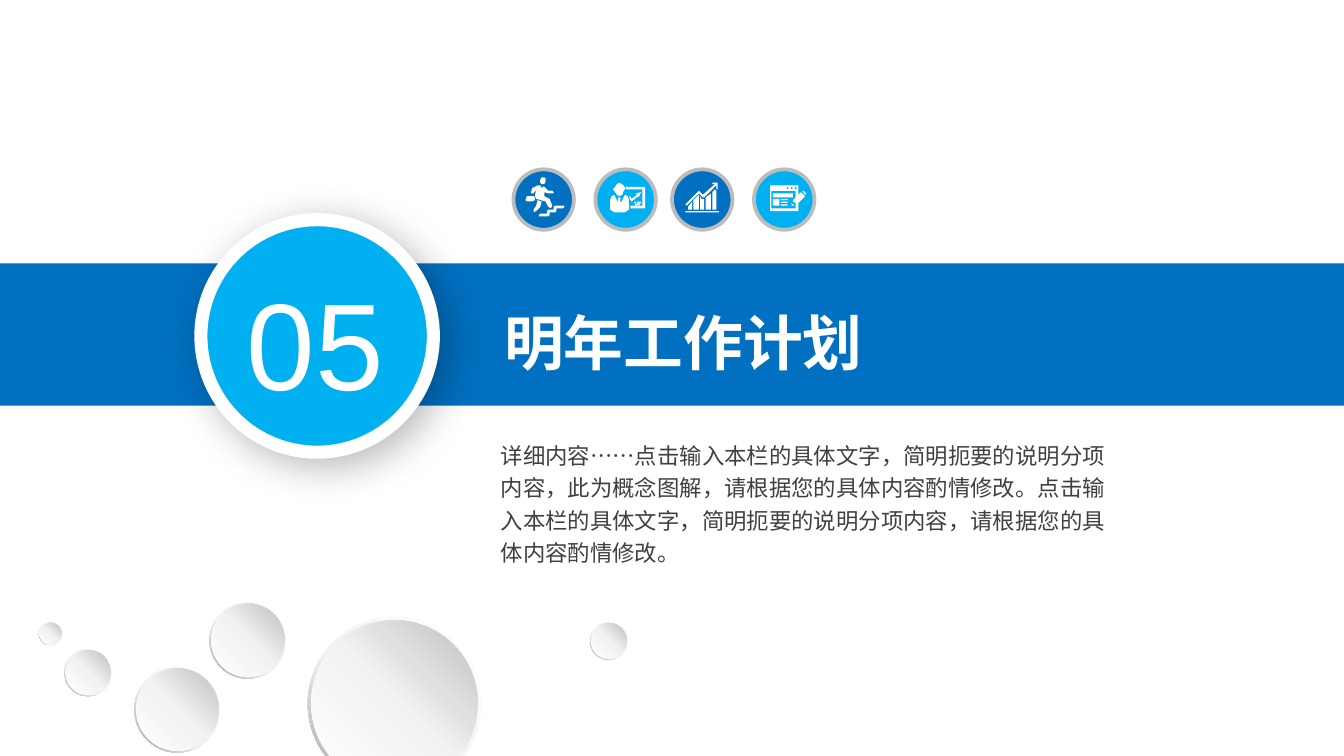
from copy import deepcopy

from lxml import etree
from pptx import Presentation
from pptx import util as u
from pptx.dml.color import RGBColor
from pptx.enum import shapes, text
from pptx.oxml import ns

COLUMNS, ROWS = 100, 56.25
CELL = u.Inches(0.1)
BADGE = 4.5
BADGE_UNITS = 45

WHITE = RGBColor(0xFF, 0xFF, 0xFF)
BLUE = RGBColor(0x01, 0x70, 0xC0)
SKY = RGBColor(0x01, 0xB0, 0xF1)
INK = RGBColor(0x40, 0x40, 0x40)
RING = RGBColor(0xBC, 0xBC, 0xBE)
PALE = RGBColor(0xF2, 0xF2, 0xF2)
SILVER = RGBColor(0xBF, 0xBF, 0xBF)
GREY = RGBColor(0xA6, 0xA6, 0xA6)

RIM_STOPS = [(0, WHITE), (0.55, PALE), (1, GREY)]
FACE_STOPS = [(0, WHITE), (0.51, PALE), (1, SILVER)]

RUNNER = [
    [[(20, 33), (25, 33), (25, 31), (26, 30), (30, 30), (30, 28), (31, 27), (38, 27), (38, 28),
      (37, 29), (32, 29), (32, 31), (31, 32), (27, 32), (27, 34), (26, 35), (19, 35), (19, 34)]],
    [[(10, 24), (14, 24), (16, 23), (16, 21), (15, 20), (10, 20), (9, 23)],
     [(15, 30), (17, 27), (18, 23), (21, 24), (20, 28), (17, 31), (15, 32)],
     [(23, 6), (24, 7), (24, 9), (23, 11), (21, 11), (20, 10), (20, 8), (21, 6)],
     [(22, 13), (23, 13), (26, 16), (29, 16), (30, 17), (30, 18), (26, 18), (23, 17),
      (23, 20), (27, 22), (29, 27), (28, 29), (26, 28), (24, 24), (17, 22), (16, 20),
      (17, 15), (15, 18), (13, 18), (14, 14), (18, 12), (20, 12), (21, 14)]],
]
PRESENTER = [
    [[(22, 13), (23, 15), (35, 15), (35, 27), (26, 27), (26, 29), (37, 29), (37, 13)]],
    [[(14, 16), (16, 19), (18, 20), (20, 19), (21, 16), (22, 15), (22, 14), (21, 12),
      (18, 10), (16, 11), (14, 14), (13, 15)]],
    [[(26, 20), (25, 21), (27, 24), (32, 20), (32, 21), (34, 17), (30, 18), (31, 19), (27, 22)]],
    [[(22, 19), (19, 25), (18, 22), (19, 22), (18, 21), (17, 21), (17, 25), (14, 19), (12, 20),
      (11, 23), (11, 30), (14, 32), (22, 32), (25, 30), (25, 23), (24, 20)]],
    [[(29, 24), (29, 25), (30, 27), (31, 27), (32, 26), (32, 24), (31, 24), (31, 26),
      (30, 26), (30, 24)]],
    [[(33, 24), (32, 24), (32, 27), (33, 27), (33, 26), (34, 25), (34, 24)]],
]
FORM = [
    [[(12, 12), (33, 12), (33, 31), (12, 31)],
     [(13, 16), (31, 16), (31, 29), (13, 29)],
     *[[(x, 13), (x + 1, 14), (x, 15), (x - 1, 14)] for x in (25, 28, 31)]],
    [[(28, 25), (28, 27), (30, 27)]],
    [[(38, 19), (39, 18), (37, 16), (36, 16)]],
    [[(35, 17), (29, 23), (29, 24), (30, 24), (30, 25), (31, 25), (32, 26), (38, 20)]],
]
CHART = [
    [[(12, 30), (15, 30), (15, 24), (12, 28)]],
    [[(16, 30), (20, 30), (20, 19), (16, 23)]],
    [[(21, 30), (24, 30), (24, 22), (22, 22), (21, 20)]],
    [[(25, 30), (29, 30), (29, 18), (25, 21)]],
    [[(30, 30), (33, 30), (33, 16), (32, 15), (30, 17)]],
    [[(11, 27), (20, 18), (23, 21), (24, 21), (33, 12), (33, 15), (34, 15), (34, 10), (30, 10),
      (30, 11), (32, 11), (23, 19), (20, 16), (10, 26)]],
]
FORM_FIELDS = [(14, 18, 15, 3), (14, 22, 5, 5), *[(20, y, 5, 1) for y in (22, 24, 26)]]
BADGES = [
    (38.2, BLUE, RUNNER, []),
    (44.3, SKY, PRESENTER, []),
    (56.1, SKY, FORM, FORM_FIELDS),
    (50, BLUE, CHART, [(10, 31, 25, 1)]),
]
BUBBLES = [(10, 49.6, 6.4), (43.9, 46.3, 2.8), (22.9, 45.9, 12.9),
           (15.6, 44.8, 5.7), (4.8, 48.3, 3.5), (2.9, 46.3, 1.7)]


def cells(*values):
    return [u.Emu(round(value * CELL)) for value in values]


def write(frame, words, size, color, bold=False, align=text.PP_ALIGN.LEFT, pitch=None,
          inset=(0.1, 0.05)):
    frame.word_wrap = True
    frame.auto_size = text.MSO_AUTO_SIZE.NONE
    frame.vertical_anchor = text.MSO_ANCHOR.TOP
    frame.margin_left = frame.margin_right = u.Inches(inset[0])
    frame.margin_top = frame.margin_bottom = u.Inches(inset[1])
    para = frame.paragraphs[0]
    settings = para._p.get_or_add_pPr()
    settings.set("marL", "0")
    settings.set("indent", "0")
    etree.SubElement(settings, ns.qn("a:buNone"))
    para.alignment = align
    para.space_before = u.Pt(0)
    if pitch:
        para.line_spacing = u.Pt(pitch)
    span = para.add_run()
    span.text = words
    span.font.size = u.Pt(size)
    span.font.bold = bold
    span.font.color.rgb = color
    span.font.name = "Arial"


class SectionSlide:
    """Holds the current slide and draws its elements on a grid of 0.1 inch cells."""

    def __init__(self, deck):
        self.page = deck.slides.add_slide(deck.slide_layouts[1])

    def style(self, shape, color=None, line=None, width=0):
        shape.shadow.inherit = False
        if color is not None:
            shape.fill.solid()
            shape.fill.fore_color.rgb = color
        if line is None:
            shape.line.fill.background()
        else:
            shape.line.color.rgb = line
            shape.line.width = u.Pt(width)
        return shape

    def preset(self, parent, kind, place, **look):
        return self.style(parent.shapes.add_shape(kind, *cells(*place)), **look)

    def group(self):
        return self.page.shapes.add_group_shape()

    def band(self, place):
        bar = self.preset(self.page, shapes.MSO_SHAPE.RECTANGLE, place, color=BLUE)
        self.page.shapes._spTree.insert(2, bar._element)

    def placeholder(self, index, place, words, **look):
        box = self.page.placeholders[index]
        box.left, box.top, box.width, box.height = cells(*place)
        write(box.text_frame, words, **look)

    def badge(self, column, row, color, outlines, bars):
        group = self.group()
        self.preset(group, shapes.MSO_SHAPE.OVAL, (column, row, BADGE, BADGE),
                    color=color, line=RING, width=2)
        unit = BADGE / BADGE_UNITS
        for x, y, width, height in bars:
            place = (column + x * unit, row + y * unit, width * unit, height * unit)
            self.preset(group, shapes.MSO_SHAPE.RECTANGLE, place, color=WHITE)
        for contours in outlines:
            builder = group.shapes.build_freeform(*contours[0][0], scale=unit * CELL)
            for number, contour in enumerate(contours):
                if number:
                    builder.move_to(*contour[0])
                builder.add_line_segments(contour[1:], close=True)
            self.style(builder.convert_to_shape(*cells(column, row)), color=WHITE)

    def number(self, place, words_place, words):
        group = self.group()
        disc = self.preset(group, shapes.MSO_SHAPE.OVAL, place, color=SKY, line=WHITE, width=7)
        effects = disc._element.spPr.find(ns.qn("a:effectLst"))
        shadow = etree.SubElement(effects, ns.qn("a:outerShdw"), blurRad=str(u.Pt(22)),
                                  dist=str(u.Pt(6)), dir="2700000", algn="tl", rotWithShape="0")
        tone = etree.SubElement(shadow, ns.qn("a:srgbClr"), val="000000")
        etree.SubElement(tone, ns.qn("a:alpha"), val="28000")
        box = group.shapes.add_textbox(*cells(*words_place))
        write(box.text_frame, words, size=66, color=WHITE, align=text.PP_ALIGN.CENTER,
              inset=(0.07, 0.04))

    def gradient(self, shape, stops, angle):
        shape.fill.gradient()
        shape.fill.gradient_angle = angle
        stop_list = shape._element.spPr.find(ns.qn("a:gradFill")).find(ns.qn("a:gsLst"))
        stop_list.append(deepcopy(stop_list[0]))
        for stop, (position, color) in zip(shape.fill.gradient_stops, stops):
            stop.position = position
            stop.color.rgb = color

    def bubble(self, column, row, size):
        group = self.group()
        rim = self.preset(group, shapes.MSO_SHAPE.DONUT, (column, row, size, size))
        rim.adjustments[0] = 0.05
        self.gradient(rim, RIM_STOPS, 225)
        edge, inner = size * 0.02, size * 0.96
        face = self.preset(group, shapes.MSO_SHAPE.OVAL, (column + edge, row + edge, inner, inner))
        self.gradient(face, FACE_STOPS, 45)


def main():
    deck = Presentation()
    deck.slide_width, deck.slide_height = cells(COLUMNS, ROWS)
    slide = SectionSlide(deck)
    slide.band((0, 19.6, COLUMNS, 10.6))
    slide.placeholder(0, (36.5, 22, 38.7, 6.4), "明年工作计划",
                      size=32, color=WHITE, bold=True, pitch=40)
    slide.placeholder(1, (36.55, 32.1, 46.6, 10.5),
                      "详细内容……点击输入本栏的具体文字，简明扼要的说明分项内容，此为概念图解，"
                      "请根据您的具体内容酌情修改。点击输入本栏的具体文字，简明扼要的说明分项内容，"
                      "请根据您的具体内容酌情修改。",
                      size=12, color=INK, pitch=17.3, inset=(0.07, 0.04))
    for column, color, outlines, bars in BADGES:
        slide.badge(column, 12.6, color, outlines, bars)
    slide.number((14.95, 16.35, 17.3, 17.3), (16.9, 19.5, 13.1, 11.9), "05")
    for bubble in BUBBLES:
        slide.bubble(*bubble)
    deck.save("out.pptx")


if __name__ == "__main__":
    main()
